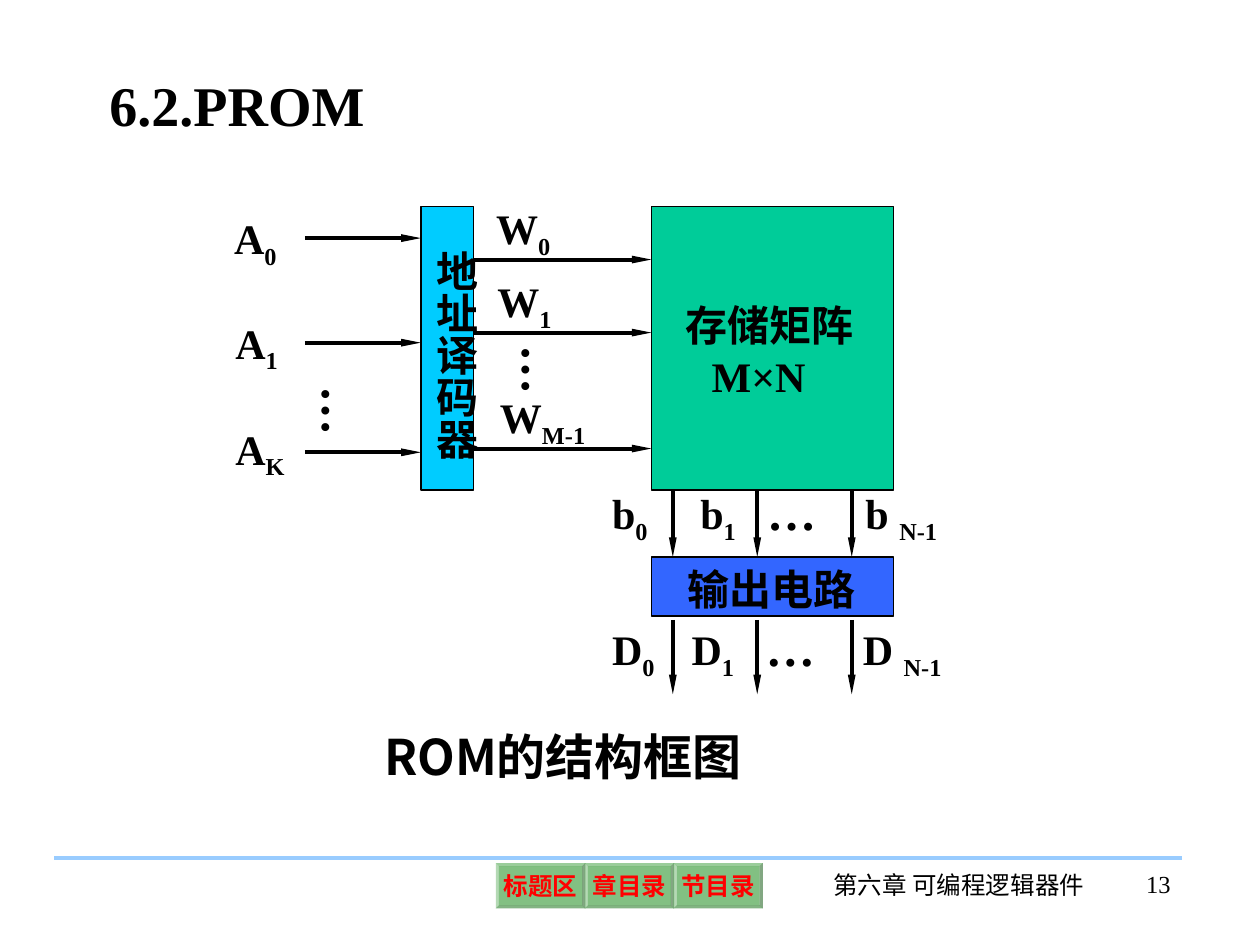
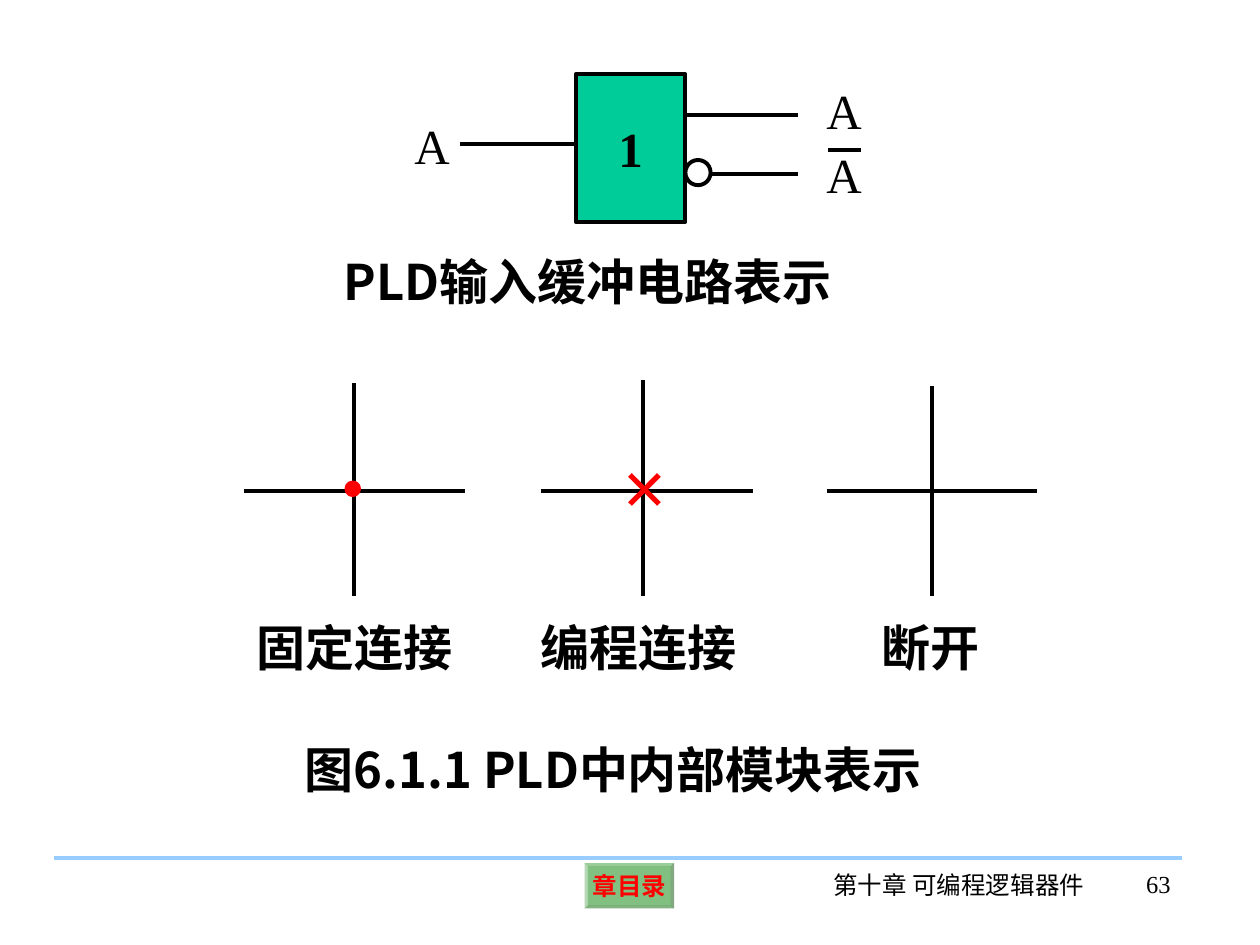
"""Build two lecture slides: a ROM block diagram and the PLD module symbols."""
import lxml.etree
import pptx
import pptx.dml.color
import pptx.enum.shapes
import pptx.enum.text
import pptx.oxml.ns
import pptx.util

BLACK = pptx.dml.color.RGBColor(0x00, 0x00, 0x00)
RED = pptx.dml.color.RGBColor(0xFF, 0x00, 0x00)
GREEN = pptx.dml.color.RGBColor(0x00, 0x80, 0x00)
TEAL = pptx.dml.color.RGBColor(0x00, 0xCC, 0x99)
CYAN = pptx.dml.color.RGBColor(0x00, 0xCC, 0xFF)
BLUE = pptx.dml.color.RGBColor(0x33, 0x66, 0xFF)
SKY = pptx.dml.color.RGBColor(0x99, 0xCC, 0xFF)
SERIF = "Times New Roman"
SANS = "Noto Sans CJK SC"
SHAPE = pptx.enum.shapes.MSO_SHAPE
ALIGN = pptx.enum.text.PP_ALIGN
MIDDLE = pptx.enum.text.MSO_ANCHOR.MIDDLE
qn = pptx.oxml.ns.qn

prs = pptx.Presentation()
prs.slide_width = pptx.util.Inches(10)
prs.slide_height = pptx.util.Inches(7.5)
COL = prs.slide_width // 100
ROW = prs.slide_height // 75


def write(sp, txt, size, bold=True, font=SERIF, color=BLACK, align=ALIGN.LEFT):
    """Write one paragraph; parts between underscores become subscripts."""
    tf = sp.text_frame
    tf.word_wrap = True
    p = tf.paragraphs[0]
    for i, part in enumerate(txt.split("_")):
        r = p.add_run()
        r.text = part
        if i % 2:
            r._r.get_or_add_rPr().set("baseline", "-25000")
    p.alignment = align
    p.font.size = pptx.util.Pt(size)
    p.font.bold = bold
    p.font.color.rgb = color
    p.font.name = font
    ea = lxml.etree.SubElement(p._p.pPr.find(qn("a:defRPr")), qn("a:ea"))
    ea.set("typeface", SANS)
    return tf


def line(s, x1, y1, x2, y2, color=BLACK, width=2.25, arrow=False):
    """Draw a straight line between two grid points."""
    sp = s.shapes.add_connector(
        pptx.enum.shapes.MSO_CONNECTOR.STRAIGHT,
        int(x1 * COL), int(y1 * ROW), int(x2 * COL), int(y2 * ROW))
    sp.line.color.rgb = color
    sp.line.width = pptx.util.Pt(width)
    if arrow:
        lxml.etree.SubElement(sp.line._get_or_add_ln(), qn("a:tailEnd"),
                              type="triangle", w="sm", len="lg")
    lxml.etree.SubElement(sp._element.spPr, qn("a:effectLst"))


footers = [
    ("第六章 可编程逻辑器件", "13", ["标题区", "章目录", "节目录"]),
    ("第十章 可编程逻辑器件", "63", ["章目录"]),
]
for chapter, number, buttons in footers:
    s = prs.slides.add_slide(prs.slide_layouts[6])
    line(s, 4.3, 68.1, 93.8, 68.1, SKY)
    for i, name in enumerate(buttons):
        x = 49.95 + 7.05 * (i - len(buttons) / 2 + 0.5) - 3.55
        sp = s.shapes.add_shape(SHAPE.BEVEL, int(x * COL), int(68.5 * ROW),
                                int(7.1 * COL), int(3.6 * ROW))
        sp.adjustments[0] = 0.07
        sp.shadow.inherit = False
        sp.fill.solid()
        sp.fill.fore_color.rgb = GREEN
        fill = sp._element.spPr.find(qn("a:solidFill"))
        lxml.etree.SubElement(fill[0], qn("a:alpha"), val="49000")
        sp.line.fill.background()
        tf = write(sp, name, 14, color=RED, align=ALIGN.CENTER)
        tf.word_wrap = False
        tf.vertical_anchor = MIDDLE
        tf.margin_left = tf.margin_right = int(0.4 * COL)
        tf.margin_top = tf.margin_bottom = int(0.4 * ROW)
    for x, y, w, txt, align in [(63.8, 68.6, 24.6, chapter, ALIGN.CENTER),
                                (85.3, 68.5, 8.6, number, ALIGN.RIGHT)]:
        sp = s.shapes.add_textbox(int(x * COL), int(y * ROW), int(w * COL), 5 * ROW)
        write(sp, txt, 14, bold=False, align=align)

rom, pld = prs.slides

blocks = [
    (rom, SHAPE.RECTANGLE, 51.7, 16.4, 19.2, 22.5, TEAL, BLACK, 0.75, ""),
    (rom, SHAPE.RECTANGLE, 51.7, 44.2, 19.2, 4.7, BLUE, BLACK, 0.75, ""),
    (rom, SHAPE.RECTANGLE, 33.4, 16.4, 4.2, 22.5, CYAN, BLACK, 0.75, ""),
    (pld, SHAPE.RECTANGLE, 45.7, 5.9, 8.7, 11.7, TEAL, BLACK, 2.25, "1"),
    (pld, SHAPE.OVAL, 54.4, 12.7, 2, 2, None, BLACK, 2.25, ""),
]
for s, kind, x, y, w, h, color, edge, width, txt in blocks:
    sp = s.shapes.add_shape(kind, int(x * COL), int(y * ROW), int(w * COL), int(h * ROW))
    sp.shadow.inherit = False
    if color is None:
        sp.fill.background()
    else:
        sp.fill.solid()
        sp.fill.fore_color.rgb = color
    sp.line.color.rgb = edge
    sp.line.width = pptx.util.Pt(width)
    if txt:
        write(sp, txt, 28, align=ALIGN.CENTER).vertical_anchor = MIDDLE

for y in (18.9, 27.2, 35.9):
    line(rom, 24.2, y, 33.4, y, arrow=True)
for y in (20.6, 26.4, 35.6):
    line(rom, 37.6, y, 51.7, y, arrow=True)
for x in (53.4, 60.1, 67.6):
    for top, bottom in ((38.9, 44.2), (49.2, 55.1)):
        line(rom, x, top, x, bottom, arrow=True)

rom_labels = [
    (7.7, 5.1, 42.4, "6.2.PROM", 32),
    (53.6, 44.2, 15.8, "输出电路", 24),
    (17.6, 16.4, 8, "A_0", 24),
    (17.7, 24.7, 8, "A_1", 24),
    (17.7, 33.1, 8, "A_K", 24),
    (38.4, 15.6, 10, "W_0", 24),
    (38.5, 21.4, 10, "W_1", 24),
    (38.7, 30.6, 10, "W_M-1", 24),
    (47.6, 38.2, 6, "b_0", 24),
    (54.6, 38.2, 6, "b_1", 24),
    (59.9, 37.7, 6, "…", 28),
    (67.7, 38.2, 10, "b _N-1", 24),
    (47.6, 49, 6, "D_0", 24),
    (53.9, 49, 6, "D_1", 24),
    (59.8, 48.5, 6, "…", 28),
    (67.5, 49, 10, "D _N-1", 24),
]
for x, y, w, txt, size in rom_labels:
    sp = rom.shapes.add_textbox(int(x * COL), int(y * ROW), int(w * COL), int(5.6 * ROW))
    write(sp, txt, size)

sp = rom.shapes.add_textbox(int(53.4 * COL), int(23.3 * ROW), int(16.7 * COL), 9 * ROW)
pPr = write(sp, "存储矩阵M×N", 24).paragraphs[0]._p.pPr
pPr.set("marL", str(int(2.1 * COL)))
pPr.set("indent", str(-int(2.1 * COL)))

vertical_labels = [
    (32.7, 18.9, 6, 20, "地址译码器", 24),
    (39.3, 26.4, 6.6, 5, "…", 28),
    (23.4, 29.7, 6.6, 5, "…", 28),
]
for x, y, w, h, txt, size in vertical_labels:
    sp = rom.shapes.add_textbox(int(x * COL), int(y * ROW), int(w * COL), int(h * ROW))
    tf = write(sp, txt, size)
    tf.margin_left = tf.margin_right = COL // 2
    tf.margin_top = tf.margin_bottom = ROW
    tf._txBody.bodyPr.set("vert", "eaVert")

for x1, x2, y in [(54.4, 63.3, 9.1), (56.4, 63.3, 13.8),
                  (36.5, 45.7, 11.4), (65.7, 68.3, 11.9)]:
    line(pld, x1, y, x2, y)
for x, y in [(31.9, 8.7), (64.6, 5.9), (64.6, 11)]:
    sp = pld.shapes.add_textbox(int(x * COL), int(y * ROW), int(5.5 * COL), int(5.7 * ROW))
    write(sp, "A", 28, bold=False)

for left, right, x, top in [(19.4, 36.9, 28.1, 30.4), (42.9, 59.8, 51, 30.2),
                            (65.6, 82.3, 74, 30.6)]:
    line(pld, left, 39, right, 39)
    line(pld, x, top, x, 47.3)
for y1, y2 in ((37.7, 40), (40, 37.7)):
    line(pld, 50, y1, 52.3, y2, RED, 3)
sp = pld.shapes.add_shape(SHAPE.OVAL, int(27.5 * COL), int(38.3 * ROW), COL, ROW)
sp.shadow.inherit = False
sp.fill.solid()
sp.fill.fore_color.rgb = RED
sp.line.color.rgb = RED
sp.line.width = pptx.util.Pt(2.25)

captions = [
    (rom, 29.5, 57.2, 47.5, "ROM的结构框图"),
    (pld, 26.3, 19.5, 59.8, "PLD输入缓冲电路表示"),
    (pld, 19.4, 48.5, 18.4, "固定连接"),
    (pld, 41.9, 48.5, 18.4, "编程连接"),
    (pld, 69, 48.5, 10.1, "断开"),
    (pld, 23.2, 58.2, 54.5, "图6.1.1 PLD中内部模块表示"),
]
for s, x, y, w, txt in captions:
    sp = s.shapes.add_textbox(int(x * COL), int(y * ROW), int(w * COL), int(5.7 * ROW))
    write(sp, txt, 28, font=SANS)

prs.save("out.pptx")
